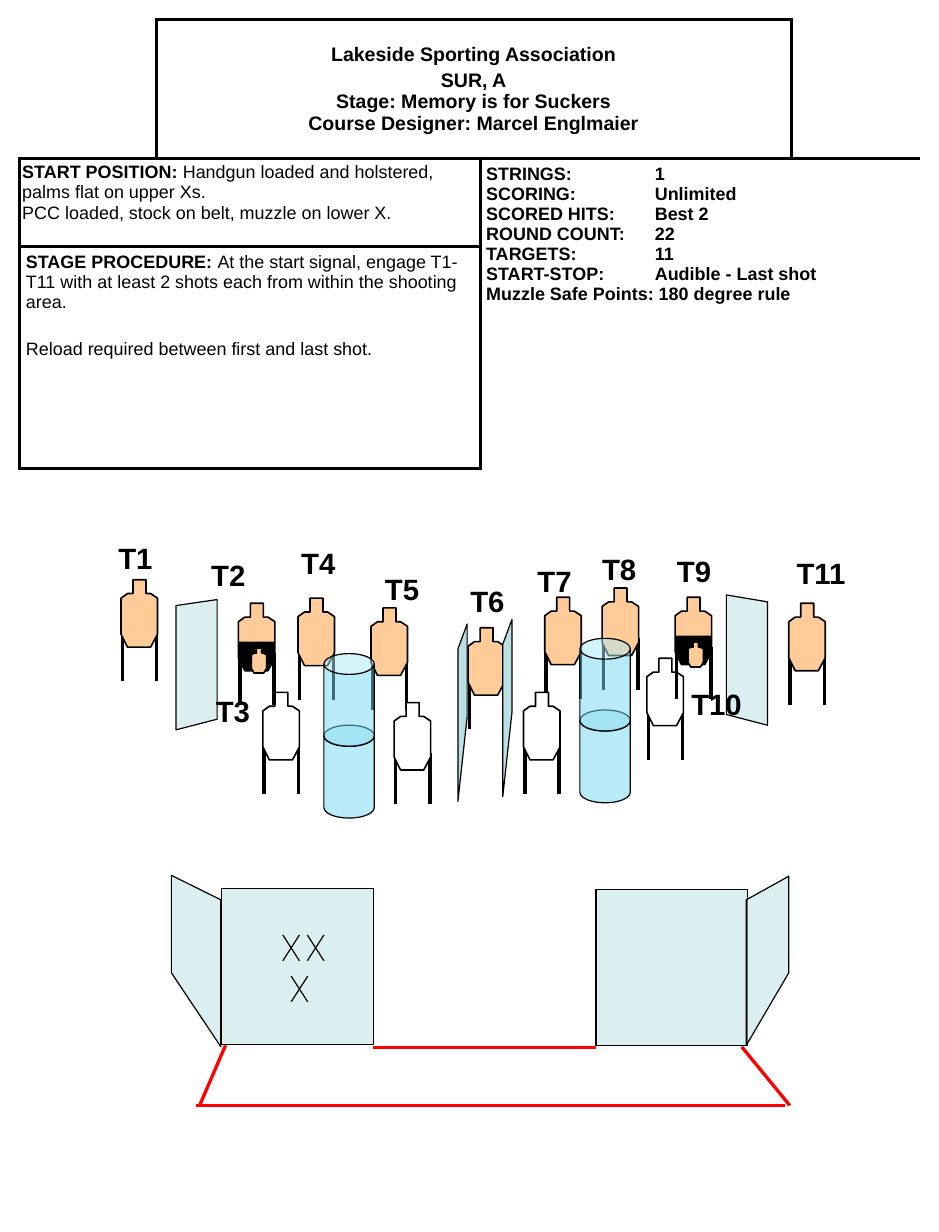
from lxml import etree
from pptx import Presentation
from pptx import util as u
from pptx.dml.color import RGBColor
from pptx.enum import shapes as kinds, text
from pptx.oxml.ns import qn

BLACK = RGBColor(0x00, 0x00, 0x00)
WHITE = RGBColor(0xFF, 0xFF, 0xFF)
RED = RGBColor(0xFF, 0x00, 0x00)
TAN = RGBColor(0xFF, 0xCC, 0x99)
WALL = RGBColor(0xBB, 0xE0, 0xE3)
BARREL = RGBColor(0x73, 0xD9, 0xF1)

BODY = [(.26, 0), (.54, 0), (.54, .3), (.64, .3), (.79, .4), (.79, 1.18),
        (.64, 1.46), (.14, 1.46), (0, 1.18), (0, .4), (.14, .3), (.26, .3)]
HARD_COVER = [(0, .83), (.79, .83), (.79, 1.17), (.64, 1.46), (.14, 1.46), (0, 1.18)]

PAPER_TARGETS = [(13.03, 12.73), (11.79, 12.93), (8.03, 13.16), (6.45, 12.95),
                 (2.62, 12.55), (17.07, 13.06)]
NO_SHOOTS = [(8.53, 15.21), (11.33, 14.99), (5.69, 14.99), (14, 14.25)]
COVERED_TARGETS = [(14.61, 12.93), (5.16, 13.06)]
SLANTED_WALLS = [
    [(3.71, 21.06), (4.78, 22.66), (4.78, 19.48), (3.71, 18.95)],
    [(17.07, 21.06), (16.15, 22.63), (16.15, 19.48), (17.07, 18.97)],
    [(16.61, 13.03), (15.72, 12.88), (15.72, 15.47), (16.61, 15.7)],
    [(3.81, 13.11), (4.7, 12.98), (4.7, 15.57), (3.81, 15.8)],
]
NARROW_WALL = [(.2, 2.01), (0, 3.84), (0, .54), (.2, 0)]
FAULT_LINES = [(4.88, 22.63, 4.32, 23.93), (12.9, 22.68, 8.08, 22.68),
               (17.09, 23.93, 16.05, 22.66), (16.99, 23.93, 4.24, 23.93)]
LABELS = {
    "T1": (2.31, 11.58), "T2": (4.32, 11.94), "T3": (4.42, 14.88),
    "T4": (6.27, 11.68), "T5": (8.08, 12.24), "T6": (9.93, 12.5),
    "T7": (11.38, 12.07), "T8": (12.78, 11.81), "T9": (14.4, 11.86),
    "T11": (16.99, 11.89), "T10": (14.71, 14.73),
}
DETAILS = ["STRINGS:\t1", "SCORING:\tUnlimited", "SCORED HITS:\tBest 2",
           "ROUND COUNT:\t22", "TARGETS:\t11", "START-STOP:\tAudible - Last shot",
           "Muzzle Safe Points: 180 degree rule"]


def style(shape, fill, width=.75, alpha=None):
    shape.shadow.inherit = False
    shape.fill.solid()
    shape.fill.fore_color.rgb = fill
    if alpha:
        color = shape.fill._xPr.find(qn("a:solidFill"))[0]
        etree.SubElement(color, qn("a:alpha"), val=str(alpha * 1000))
    if width:
        shape.line.color.rgb = BLACK
        shape.line.width = u.Pt(width)
    else:
        shape.line.fill.background()
    return shape


def add_line(slide, ends, color=BLACK, width=.75):
    line = slide.shapes.add_connector(kinds.MSO_CONNECTOR.STRAIGHT, *map(u.Cm, ends))
    line.line.color.rgb = color
    line.line.width = u.Pt(width)
    etree.SubElement(line._element.spPr, qn("a:effectLst"))
    return line


def add_outline(slide, points, left=0, top=0, scale=(1, 1)):
    placed = [(u.Cm(left + x * scale[0]), u.Cm(top + y * scale[1])) for x, y in points]
    builder = slide.shapes.build_freeform(*placed[0])
    builder.add_line_segments(placed[1:], close=True)
    return builder.convert_to_shape()


def add_preset(slide, kind, left, top, width, height):
    return slide.shapes.add_shape(kind, *map(u.Cm, (left, top, width, height)))


def add_target(slide, left, top, fill=TAN, covered=False):
    parts = [add_line(slide, (left + x, top + 1.08, left + x, top + 2.2), width=2.25)
             for x in (.03, .77)]
    parts.append(style(add_outline(slide, BODY, left, top), fill, 1))
    if covered:
        parts.append(style(add_outline(slide, HARD_COVER, left, top), BLACK, 0))
        small = add_outline(slide, BODY, left + .28, top + .97, (.42, .37))
        parts.append(style(small, TAN, 1))
    slide.shapes.add_group_shape(parts)


def add_barrels(slide, left, top):
    parts = []
    for offset in (1.55, 0):
        can = add_preset(slide, kinds.MSO_SHAPE.CAN, left, top + offset, 1.09, 2.01)
        can.adjustments[0] = .413
        parts.append(style(can, BARREL, alpha=50))
    slide.shapes.add_group_shape(parts)


def add_marks(slide):
    parts = []
    for left, top in [(6.12, 20.24), (6.65, 20.24), (6.3, 21.13)]:
        right, bottom = left + .36, top + .56
        parts.append(add_line(slide, (right, top, left, bottom)))
        parts.append(add_line(slide, (left, top, right, bottom)))
    slide.shapes.add_group_shape(parts)


def add_label(slide, name, left, top):
    width = 1.47 if len(name) == 2 else 1.85
    box = slide.shapes.add_textbox(*map(u.Cm, (left, top, width, 1.02)))
    box.text_frame.word_wrap = True
    paragraph = box.text_frame.paragraphs[0]
    paragraph.text = name
    set_font(paragraph.font, 18, True)


def set_font(font, size, bold=None):
    font.name = "Arial"
    font.size = u.Pt(size)
    font.bold = bold
    font.color.rgb = BLACK


def set_border(cell, side, visible):
    line = etree.SubElement(cell._tc.get_or_add_tcPr(), qn("a:ln" + side), w=str(u.Pt(2.25)))
    if visible:
        fill = etree.SubElement(line, qn("a:solidFill"))
        etree.SubElement(fill, qn("a:srgbClr"), val=str(BLACK))
    else:
        etree.SubElement(line, qn("a:noFill"))


def frame_region(table, top, left, bottom, right, sides="LRTB"):
    for row in range(top, bottom + 1):
        for column in range(left, right + 1):
            cell = table.cell(row, column)
            edges = {"L": column == left, "R": column == right,
                     "T": row == top, "B": row == bottom}
            for side, on_edge in edges.items():
                set_border(cell, side, on_edge and side in sides)
            cell.fill.solid()
            cell.fill.fore_color.rgb = WHITE
    origin = table.cell(top, left)
    if (top, left) != (bottom, right):
        origin.merge(table.cell(bottom, right))
    return origin


def write_cell(cell, paragraphs, size=11, gap=0, bold=None, align=None, tab=None,
               inset=(.13, .13)):
    cell.margin_left = cell.margin_right = u.Cm(inset[0])
    cell.margin_top = cell.margin_bottom = u.Cm(inset[1])
    for index, content in enumerate(paragraphs):
        frame = cell.text_frame
        paragraph = frame.add_paragraph() if index else frame.paragraphs[0]
        if tab:
            stops = etree.SubElement(paragraph._p.get_or_add_pPr(), qn("a:tabLst"))
            etree.SubElement(stops, qn("a:tab"), pos=str(u.Cm(tab)), algn="l")
        if isinstance(content, tuple):
            heading, body = content
            run = paragraph.add_run()
            run.text = heading
            run.font.bold = True
            paragraph.add_run().text = body
        else:
            paragraph.text = content
        paragraph.alignment = align
        paragraph.space_before = u.Pt(gap if index else 0)
        set_font(paragraph.font, size, bold)


def add_briefing(slide):
    widths, heights = (2.95, 7.01, 6.73, 2.79), (3, 1.91, 4.8)
    size = map(u.Cm, (.43, .43, sum(widths), sum(heights)))
    table = slide.shapes.add_table(3, 4, *size).table
    table.first_row = table.horz_banding = False
    for column, width in zip(table.columns, widths):
        column.width = u.Cm(width)
    for row, height in zip(table.rows, heights):
        row.height = u.Cm(height)
    frame_region(table, 0, 0, 0, 0, "RB")
    frame_region(table, 0, 3, 0, 3, "LB")
    title = frame_region(table, 0, 1, 0, 2)
    title.vertical_anchor = text.MSO_ANCHOR.MIDDLE
    write_cell(title, ["Lakeside Sporting Association",
                       "SUR, A\vStage: Memory is for Suckers\vCourse Designer: Marcel Englmaier"],
               12, 2.4, True, text.PP_ALIGN.CENTER)
    write_cell(frame_region(table, 1, 0, 1, 1),
               [("START POSITION: ",
                 "Handgun loaded and holstered, palms flat on upper Xs."),
                "PCC loaded, stock on belt, muzzle on lower X."], gap=.5, inset=(.05, .08))
    write_cell(frame_region(table, 1, 2, 2, 3), DETAILS, bold=True, tab=3.65)
    write_cell(frame_region(table, 2, 0, 2, 1),
               [("STAGE PROCEDURE: ", "At the start signal, engage T1-T11 with at least "
                 "2 shots each from within the shooting area."),
                "Reload required between first and last shot."], gap=16.5)


def main():
    presentation = Presentation()
    presentation.slide_width, presentation.slide_height = u.Cm(20.32), u.Cm(26.67)
    slide = presentation.slides.add_slide(presentation.slide_layouts[6])
    add_briefing(slide)
    for ends in FAULT_LINES:
        add_line(slide, ends, RED, 2)
    add_target(slide, 10.13, 13.59)
    for left, top in [(4.8, 19.23), (12.9, 19.25)]:
        panel = add_preset(slide, kinds.MSO_SHAPE.RECTANGLE, left, top, 3.28, 3.38)
        style(panel, WALL, alpha=50)
    for points in SLANTED_WALLS:
        style(add_outline(slide, points), WALL, alpha=50)
    for left, top in [(9.91, 13.51), (10.88, 13.41)]:
        style(add_outline(slide, NARROW_WALL, left, top), WALL)
    for left, top in PAPER_TARGETS:
        add_target(slide, left, top)
    add_barrels(slide, 12.55, 13.82)
    add_barrels(slide, 7.01, 14.15)
    for left, top in NO_SHOOTS:
        add_target(slide, left, top, WHITE)
    add_marks(slide)
    for left, top in COVERED_TARGETS:
        add_target(slide, left, top, covered=True)
    for name, (left, top) in LABELS.items():
        add_label(slide, name, left, top)
    presentation.save("out.pptx")


if __name__ == "__main__":
    main()
